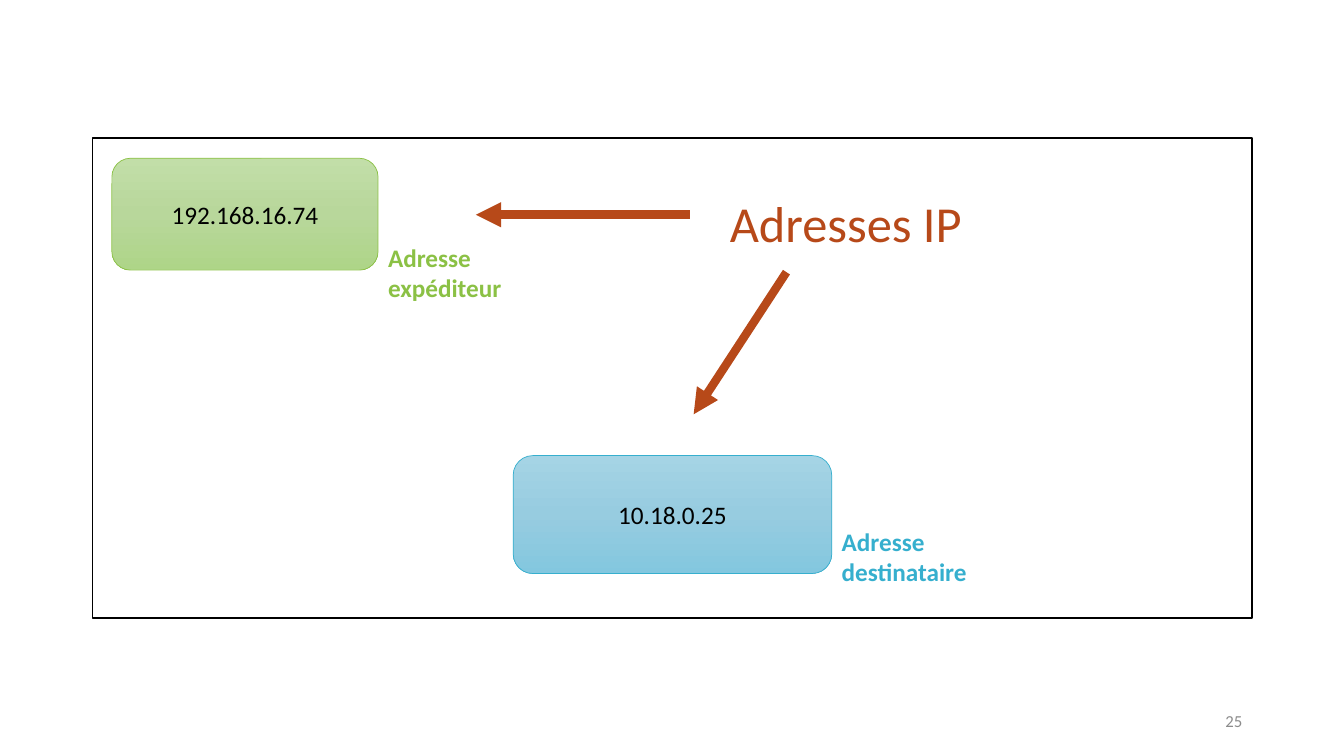
from copy import deepcopy
from dataclasses import dataclass

from lxml.etree import SubElement
from pptx import Presentation
from pptx.dml.color import RGBColor
from pptx.enum.shapes import MSO_CONNECTOR, MSO_SHAPE
from pptx.enum.text import MSO_ANCHOR, PP_ALIGN
from pptx.oxml.ns import qn
from pptx.util import Inches, Pt

COLORS = {
    "white": "FFFFFF",
    "black": "000000",
    "gray": "8C8C8C",
    "green": "8BC145",
    "blue": "36AFCE",
    "rust": "B74919",
}


@dataclass
class Box:
    left: float
    top: float
    width: float
    height: float

    def lengths(self) -> list:
        return [Inches(value) for value in (self.left, self.top, self.width, self.height)]


@dataclass
class Address:
    box: Box
    text: str
    color: str
    gradient: tuple


@dataclass
class Label:
    box: Box
    text: str
    color: str
    size: int
    bold: bool = False
    alignment: PP_ALIGN = PP_ALIGN.LEFT
    anchor: MSO_ANCHOR = MSO_ANCHOR.TOP


@dataclass
class Arrow:
    start: tuple
    end: tuple


FRAME = Box(0.92, 1.37, 11.5, 4.76)
ADDRESSES = [
    Address(Box(1.11, 1.57, 2.64, 1.11), "192.168.16.74", "green", ("C2DEA8", "B8D79B", "AED588")),
    Address(Box(5.09, 4.52, 3.16, 1.17), "10.18.0.25", "blue", ("A5D4E5", "97CCE0", "83C7DF")),
]
ADDRESS_LABELS = [
    Label(Box(3.75, 2.35, 1.62, 0.71), "Adresse expéditeur", "green", 18, bold=True),
    Label(Box(8.25, 5.17, 1.59, 0.71), "Adresse destinataire", "blue", 18, bold=True),
]
HEADING = Label(Box(7.14, 1.86, 3.51, 0.71), "Adresses IP", "rust", 36)
PAGE_NUMBER = Label(Box(9.42, 6.95, 3, 0.4), "25", "gray", 12,
                    alignment=PP_ALIGN.RIGHT, anchor=MSO_ANCHOR.MIDDLE)
ARROWS = [Arrow((6.84, 2.13), (4.72, 2.13)), Arrow((7.8, 2.7), (6.88, 4.11))]


def rgb(name: str) -> RGBColor:
    return RGBColor.from_string(COLORS[name])


def write_text(shape, text: str, color: str, size: int, bold: bool,
               alignment: PP_ALIGN, anchor: MSO_ANCHOR) -> None:
    frame = shape.text_frame
    frame.word_wrap = True
    frame.vertical_anchor = anchor
    paragraph = frame.paragraphs[0]
    paragraph.alignment = alignment
    run = paragraph.add_run()
    run.text = text
    run.font.name = "Calibri"
    run.font.size = Pt(size)
    run.font.bold = bold
    run.font.color.rgb = rgb(color)


def add_outlined_shape(shapes, kind: MSO_SHAPE, box: Box, color: str, width: float):
    shape = shapes.add_shape(kind, *box.lengths())
    shape.shadow.inherit = False
    shape.line.color.rgb = rgb(color)
    shape.line.width = Pt(width)
    return shape


def add_frame(shapes, box: Box) -> None:
    shape = add_outlined_shape(shapes, MSO_SHAPE.RECTANGLE, box, "black", 1)
    shape.fill.solid()
    shape.fill.fore_color.rgb = rgb("white")


def fill_gradient(shape, colors: tuple) -> None:
    shape.fill.gradient()
    shape.fill.gradient_angle = 270
    first_stop = next(shape._element.spPr.iter(qn("a:gs")))
    first_stop.addnext(deepcopy(first_stop))
    for index, (stop, color) in enumerate(zip(shape.fill.gradient_stops, colors)):
        stop.position = index / (len(colors) - 1)
        stop.color.rgb = RGBColor.from_string(color)


def add_address(shapes, address: Address) -> None:
    shape = add_outlined_shape(shapes, MSO_SHAPE.ROUNDED_RECTANGLE, address.box, address.color, 0.5)
    fill_gradient(shape, address.gradient)
    write_text(shape, address.text, "black", 18, False, PP_ALIGN.CENTER, MSO_ANCHOR.MIDDLE)


def add_label(shapes, label: Label) -> None:
    shape = shapes.add_textbox(*label.box.lengths())
    write_text(shape, label.text, label.color, label.size, label.bold,
               label.alignment, label.anchor)


def add_arrow(shapes, arrow: Arrow) -> None:
    points = [Inches(value) for value in arrow.start + arrow.end]
    connector = shapes.add_connector(MSO_CONNECTOR.STRAIGHT, *points)
    connector.line.color.rgb = rgb("rust")
    connector.line.width = Pt(6)
    properties = connector._element.spPr
    SubElement(properties.find(qn("a:ln")), qn("a:tailEnd"), type="triangle")
    SubElement(properties, qn("a:effectLst"))


def main() -> None:
    presentation = Presentation()
    presentation.slide_width = Inches(13.33)
    presentation.slide_height = Inches(7.5)
    slide = presentation.slides.add_slide(presentation.slide_layouts[6])
    add_label(slide.shapes, PAGE_NUMBER)
    diagram = slide.shapes.add_group_shape()
    add_frame(diagram.shapes, FRAME)
    for address in ADDRESSES:
        add_address(diagram.shapes, address)
    for label in ADDRESS_LABELS:
        add_label(diagram.shapes, label)
    add_label(slide.shapes, HEADING)
    for arrow in ARROWS:
        add_arrow(slide.shapes, arrow)
    presentation.save("out.pptx")


if __name__ == "__main__":
    main()
